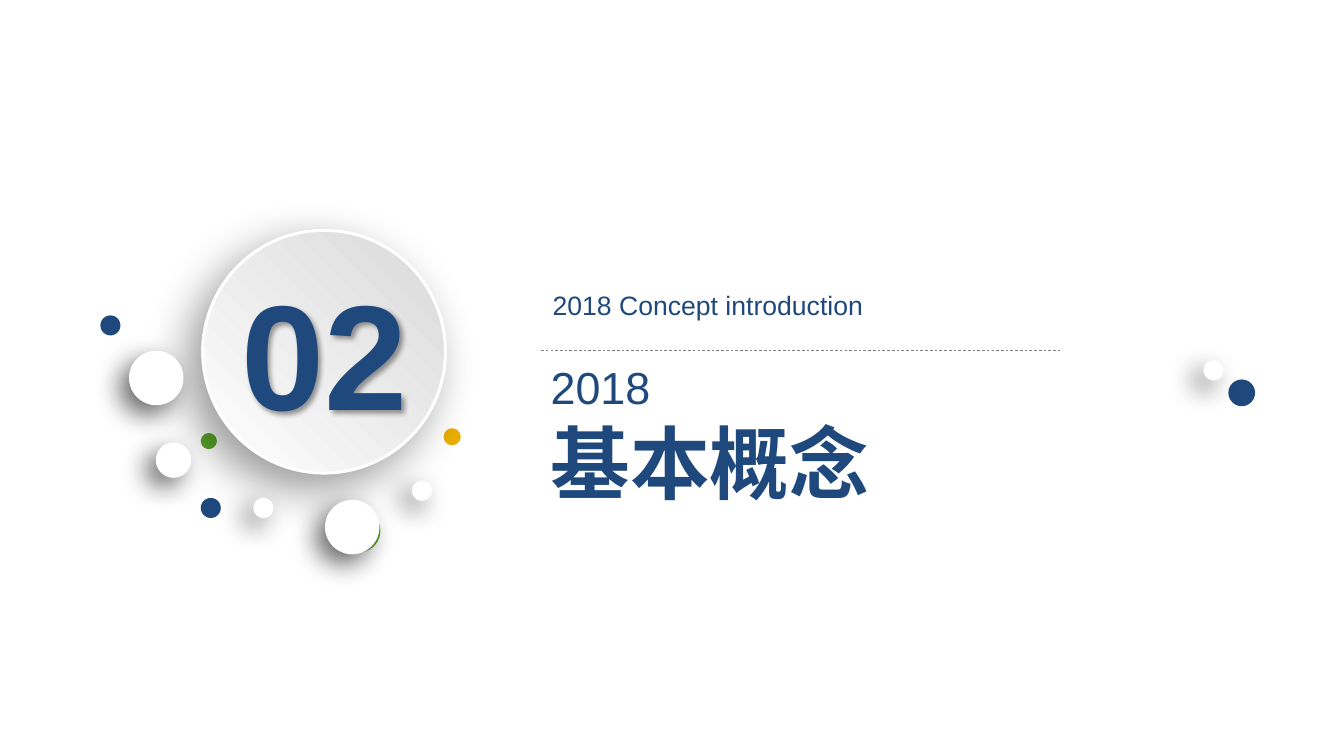
from lxml import etree
from pptx import Presentation
from pptx.dml.color import RGBColor
from pptx.enum.dml import MSO_LINE
from pptx.enum.shapes import MSO_CONNECTOR, MSO_SHAPE
from pptx.enum.text import MSO_ANCHOR, MSO_AUTO_SIZE, PP_ALIGN
from pptx.oxml.ns import qn
from pptx.util import Inches, Pt

OVAL = MSO_SHAPE.OVAL
LINE = MSO_CONNECTOR.STRAIGHT
DASH = MSO_LINE.DASH
MIDDLE = MSO_ANCHOR.MIDDLE
FIT = MSO_AUTO_SIZE.SHAPE_TO_FIT_TEXT
LEFT = PP_ALIGN.LEFT
RIGHT = PP_ALIGN.RIGHT
CENTER = PP_ALIGN.CENTER

FONT = "Arial"
NAVY = "1F497D"
GREEN = "58A527"
GOLD = "EAAE00"
WHITE = "FFFFFF"
SILVER = "D9D9D9"
GRAY = "808080"
SOFT = (60, 20, 10, 135)
DEEP = (40, 35, 15, 135)
CRISP = (40, 4, 3, 45)


def color(code):
    return RGBColor.from_string(code)


def shade(shape, alpha, blur, dist, angle):
    shape.shadow.inherit = False
    effects = shape._element.spPr.find(qn("a:effectLst"))
    outer = etree.SubElement(
        effects, qn("a:outerShdw"), blurRad=str(Pt(blur)), dist=str(Pt(dist)),
        dir=str(angle * 60000), algn="ctr", rotWithShape="0")
    tint = etree.SubElement(outer, qn("a:srgbClr"), val="000000")
    etree.SubElement(tint, qn("a:alpha"), val=str(alpha * 1000))


def add_dot(slide, left, top, size, fill):
    dot = slide.shapes.add_shape(
        OVAL, Inches(left), Inches(top), Inches(size), Inches(size))
    dot.shadow.inherit = False
    dot.fill.solid()
    dot.fill.fore_color.rgb = color(fill)
    dot.line.fill.background()
    return dot


def add_dots(slide, left, top, dots):
    for x, y, size, fill in dots:
        dot = add_dot(slide, left + x, top + y, size, fill)
        if fill == WHITE:
            shade(dot, *SOFT)


def style(para, size, align, bold=False):
    para.alignment = align
    for run in para.runs:
        run.font.name = FONT
        run.font.size = Pt(size)
        run.font.bold = bold
        run.font.color.rgb = color(NAVY)


def add_text(slide, box, text, size, align, wrap, bold=False):
    label = slide.shapes.add_textbox(*map(Inches, box))
    frame = label.text_frame
    frame.text = text
    frame.word_wrap = wrap
    frame.auto_size = FIT
    style(frame.paragraphs[0], size, align, bold)
    return label


def add_badge(slide, left, top, size):
    disc = add_dot(slide, left, top, size, WHITE)
    disc.fill.gradient()
    disc.fill.gradient_angle = 45
    for stop, code in zip(disc.fill.gradient_stops, (WHITE, SILVER)):
        stop.color.rgb = color(code)
    disc.line.color.rgb = color(WHITE)
    disc.line.width = Pt(2.25)
    shade(disc, *DEEP)
    box = (left + 0.29, top + 0.27, 1.97, 1.99)
    number = add_text(slide, box, "02", 112.5, CENTER, True, True)
    shade(number, *CRISP)


def add_cluster(slide, left, top):
    add_dots(slide, left, top, [
        (0, 0.89, 0.21, NAVY),
        (1.05, 2.8, 0.21, NAVY),
        (1.05, 2.12, 0.17, GREEN),
        (3.59, 2.07, 0.18, GOLD),
        (2.48, 2.92, 0.45, GREEN),
    ])
    add_badge(slide, left + 1.07, top, 2.54)
    add_dots(slide, left, top, [
        (0.58, 2.22, 0.37, WHITE),
        (0.3, 1.26, 0.57, WHITE),
        (2.35, 2.82, 0.57, WHITE),
        (1.6, 2.8, 0.21, WHITE),
        (3.26, 2.62, 0.21, WHITE),
    ])


def add_pair(slide, left, top):
    add_dots(slide, left, top, [
        (0.26, 0.2, 0.28, NAVY),
        (0, 0, 0.21, WHITE),
    ])


def add_heading(slide, left, top, width):
    title = slide.shapes.title
    title.left, title.top = Inches(left), Inches(top + 0.74)
    title.width, title.height = Inches(3.57), Inches(1.68)
    frame = title.text_frame
    frame.text = "2018\n基本概念"
    frame.word_wrap = False
    frame.auto_size = FIT
    frame.vertical_anchor = MIDDLE
    year, topic = frame.paragraphs
    style(year, 33.8, LEFT)
    style(topic, 60, LEFT, True)
    add_text(slide, (left, top, 3.47, 0.44),
             "2018 Concept introduction", 20, RIGHT, False)
    y = Inches(top + 0.7)
    rule = slide.shapes.add_connector(
        LINE, Inches(left), y, Inches(left + width), y)
    rule.line.color.rgb = color(GRAY)
    rule.line.width = Pt(0.5)
    rule.line.dash_style = DASH
    etree.SubElement(rule._element.spPr, qn("a:effectLst"))


def main():
    deck = Presentation()
    deck.slide_width = Inches(14.06)
    deck.slide_height = Inches(7.91)
    slide = deck.slides.add_slide(deck.slide_layouts[5])
    add_cluster(slide, 1.05, 2.41)
    add_pair(slide, 12.59, 3.77)
    add_heading(slide, 5.66, 2.97, 5.43)
    deck.save("out.pptx")


if __name__ == "__main__":
    main()
